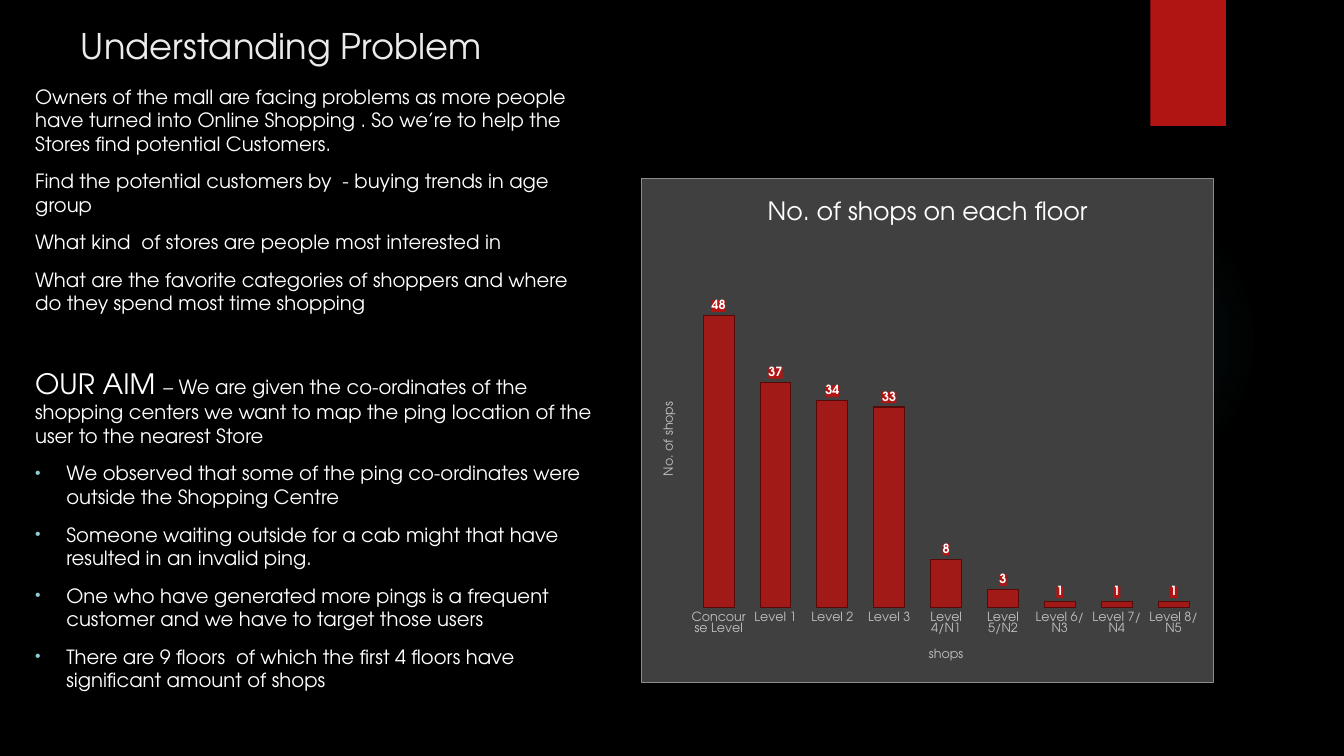
"""Build the mall slide: problem statement, aim and a chart of shops per floor."""
from dataclasses import dataclass

import lxml.etree
import pptx
import pptx.chart.data
import pptx.dml.color
import pptx.enum.chart
import pptx.enum.shapes
import pptx.enum.text
import pptx.oxml
import pptx.oxml.ns
import pptx.util

Inches = pptx.util.Inches
Pt = pptx.util.Pt
RGBColor = pptx.dml.color.RGBColor
qn = pptx.oxml.ns.qn

FONT = "TeX Gyre Adventor"
BLACK = RGBColor(0x00, 0x00, 0x00)
WHITE = RGBColor(0xFF, 0xFF, 0xFF)
TITLE_GRAY = RGBColor(0xEB, 0xEB, 0xEB)
AXIS_GRAY = RGBColor(0xBF, 0xBF, 0xBF)
PANEL = RGBColor(0x40, 0x40, 0x40)
PANEL_EDGE = RGBColor(0x8C, 0x8C, 0x8C)
RED = RGBColor(0xB0, 0x15, 0x13)
DARK_RED = RGBColor(0x58, 0x0A, 0x09)
GLOW = RGBColor(0x50, 0xB9, 0xC1)
BULLET = RGBColor(0x8A, 0xD0, 0xD6)


@dataclass(frozen=True)
class Paragraph:
    text: str
    lead: str = ""
    before: float = 10
    bullet: bool = False


@dataclass(frozen=True)
class Floor:
    name: str
    shops: int


PARAGRAPHS = [
    Paragraph("Owners of the mall are facing problems as more people have turned into "
              "Online Shopping . So we’re to help the Stores find potential Customers."),
    Paragraph("Find the potential customers by  - buying trends in age group"),
    Paragraph("What kind  of stores are people most interested in"),
    Paragraph("What are the favorite categories of shoppers and where do they spend "
              "most time shopping"),
    Paragraph("– We are given the co-ordinates of the shopping centers we want to map "
              "the ping location of the user to the nearest Store",
              lead="OUR AIM ", before=37),
    Paragraph("We observed that some of the ping co-ordinates were outside the "
              "Shopping Centre", bullet=True),
    Paragraph("Someone waiting outside for a cab might that have resulted in an "
              "invalid ping.", bullet=True),
    Paragraph("One who have generated more pings is a frequent customer and we have "
              "to target those users", bullet=True),
    Paragraph("There are 9 floors  of which the first 4 floors have significant "
              "amount of shops", bullet=True),
]

FLOORS = [
    Floor("Concourse Level", 48), Floor("Level 1", 37), Floor("Level 2", 34),
    Floor("Level 3", 33), Floor("Level 4/N1", 8), Floor("Level 5/N2", 3),
    Floor("Level 6/ N3", 1), Floor("Level 7/ N4", 1), Floor("Level 8/ N5", 1),
]


def style_font(font, size: float, color: RGBColor, bold: bool = False) -> None:
    font.name = FONT
    font.size = Pt(size)
    font.bold = bold
    font.color.rgb = color


def add_run(p, text: str, size: float, color: RGBColor) -> None:
    r = p.add_run()
    r.text = text
    style_font(r.font, size, color)


def add_shape(slide, kind, left: float, top: float, width: float, height: float):
    sp = slide.shapes.add_shape(kind, Inches(left), Inches(top),
                                Inches(width), Inches(height))
    sp.shadow.inherit = False
    sp.line.fill.background()
    return sp


def add_glow(slide) -> None:
    sp = add_shape(slide, pptx.enum.shapes.MSO_SHAPE.OVAL, 9.41, 1.83, 3.08, 3.08)
    stops = "".join(
        f'<a:gs pos="{pos * 1000}"><a:srgbClr val="{GLOW}">'
        f'<a:alpha val="{alpha * 1000}"/></a:srgbClr></a:gs>'
        for pos, alpha in ((0, 7), (36, 6), (69, 0), (100, 0)))
    gradient = pptx.oxml.parse_xml(
        f'<a:gradFill {pptx.oxml.ns.nsdecls("a")}><a:gsLst>{stops}</a:gsLst>'
        '<a:path path="circle"><a:fillToRect l="50000" t="50000" r="50000" b="50000"/>'
        '</a:path></a:gradFill>')
    sp.element.spPr.find(qn("a:prstGeom")).addnext(gradient)


def add_title(slide) -> None:
    sp = slide.shapes.title
    sp.left, sp.top, sp.width, sp.height = map(Inches, (0.7, 0.15, 4.3, 0.56))
    tf = sp.text_frame
    tf.auto_size = pptx.enum.text.MSO_AUTO_SIZE.NONE
    tf.vertical_anchor = pptx.enum.text.MSO_ANCHOR.BOTTOM
    p = tf.paragraphs[0]
    p.alignment = pptx.enum.text.PP_ALIGN.LEFT
    add_run(p, "Understanding Problem", 25.2, TITLE_GRAY)


def add_bullet(p) -> None:
    pPr = p._p.get_or_add_pPr()
    pPr.set("marL", str(Inches(0.31)))
    pPr.set("indent", str(Inches(-0.31)))
    color = lxml.etree.SubElement(pPr, qn("a:buClr"))
    lxml.etree.SubElement(color, qn("a:srgbClr"), val=str(BULLET))
    lxml.etree.SubElement(pPr, qn("a:buSzPct"), val="80000")
    lxml.etree.SubElement(pPr, qn("a:buFont"), typeface="Arial")
    lxml.etree.SubElement(pPr, qn("a:buChar"), char="•")


def add_body(slide, paragraphs: list[Paragraph]) -> None:
    sp = slide.shapes.add_textbox(Inches(0.25), Inches(0.79), Inches(5.79), Inches(6.29))
    tf = sp.text_frame
    tf.word_wrap = True
    for i, item in enumerate(paragraphs):
        p = tf.add_paragraph() if i else tf.paragraphs[0]
        p.space_before = Pt(item.before)
        if item.bullet:
            add_bullet(p)
        if item.lead:
            add_run(p, item.lead, 20, WHITE)
        add_run(p, item.text, 14, WHITE)


def set_plot_area(chart, x: float, y: float, w: float, h: float) -> None:
    plot_area = chart.element.find(".//" + qn("c:plotArea"))
    for old in plot_area.findall(qn("c:layout")):
        plot_area.remove(old)
    values = [("layoutTarget", "inner"), ("xMode", "edge"), ("yMode", "edge"),
              ("x", x), ("y", y), ("w", w), ("h", h)]
    layout = lxml.etree.Element(qn("c:layout"))
    manual = lxml.etree.SubElement(layout, qn("c:manualLayout"))
    for tag, value in values:
        lxml.etree.SubElement(manual, qn(f"c:{tag}"), val=str(value))
    plot_area.insert(0, layout)


def format_panel(chart) -> None:
    spPr = pptx.oxml.parse_xml(
        f'<c:spPr {pptx.oxml.ns.nsdecls("c", "a")}>'
        f'<a:solidFill><a:srgbClr val="{PANEL}"/></a:solidFill>'
        f'<a:ln w="{Pt(0.5)}"><a:solidFill><a:srgbClr val="{PANEL_EDGE}"/></a:solidFill>'
        '</a:ln></c:spPr>')
    chart.element.find(qn("c:chart")).addnext(spPr)


def add_chart(slide, floors: list[Floor]) -> None:
    data = pptx.chart.data.CategoryChartData()
    data.categories = [floor.name for floor in floors]
    data.add_series("Series 1", [floor.shops for floor in floors])
    chart = slide.shapes.add_chart(
        pptx.enum.chart.XL_CHART_TYPE.COLUMN_CLUSTERED,
        Inches(6.36), Inches(1.77), Inches(5.68), Inches(5), data).chart
    style_font(chart.font, 10, WHITE)
    chart.has_legend = False
    format_panel(chart)
    set_plot_area(chart, 0.085, 0.127, 0.895, 0.726)
    cat, val = chart.category_axis, chart.value_axis
    for owner, text, size, color in ((chart, "No. of shops on each floor", 18, WHITE),
                                     (cat, "shops", 9, AXIS_GRAY),
                                     (val, "No. of shops", 9, AXIS_GRAY)):
        title = owner.chart_title if owner is chart else owner.axis_title
        add_run(title.text_frame.paragraphs[0], text, size, color)
    cat.major_tick_mark = pptx.enum.chart.XL_TICK_MARK.NONE
    cat.format.line.fill.background()
    style_font(cat.tick_labels.font, 9, AXIS_GRAY)
    val.visible = False
    val.has_major_gridlines = False
    val.minimum_scale, val.maximum_scale = 0, 60
    plot = chart.plots[0]
    plot.gap_width = 84
    plot.vary_by_categories = False
    bars = plot.series[0]
    bars.format.fill.solid()
    bars.format.fill.fore_color.rgb = RED
    color = bars.format.fill._xPr.find(".//" + qn("a:srgbClr"))
    lxml.etree.SubElement(color, qn("a:alpha"), val="88000")
    bars.format.line.color.rgb = DARK_RED
    bars.format.line.width = Pt(0.75)
    labels = bars.data_labels
    labels.show_value = True
    labels.position = pptx.enum.chart.XL_LABEL_POSITION.OUTSIDE_END
    style_font(labels.font, 9, WHITE, bold=True)
    label_fill = pptx.oxml.parse_xml(
        f'<c:spPr {pptx.oxml.ns.nsdecls("c", "a")}>'
        f'<a:solidFill><a:srgbClr val="{RED}"/></a:solidFill></c:spPr>')
    labels._element.find(qn("c:txPr")).addprevious(label_fill)


def main() -> None:
    prs = pptx.Presentation()
    prs.slide_width, prs.slide_height = Inches(13.33), Inches(7.5)
    slide = prs.slides.add_slide(prs.slide_layouts.get_by_name("Title Only"))
    slide.background.fill.solid()
    slide.background.fill.fore_color.rgb = BLACK
    add_glow(slide)
    ribbon = add_shape(slide, pptx.enum.shapes.MSO_SHAPE.RECTANGLE, 11.41, 0, 0.75, 1.25)
    ribbon.fill.solid()
    ribbon.fill.fore_color.rgb = RED
    add_title(slide)
    add_body(slide, PARAGRAPHS)
    add_chart(slide, FLOORS)
    prs.save("out.pptx")


if __name__ == "__main__":
    main()
